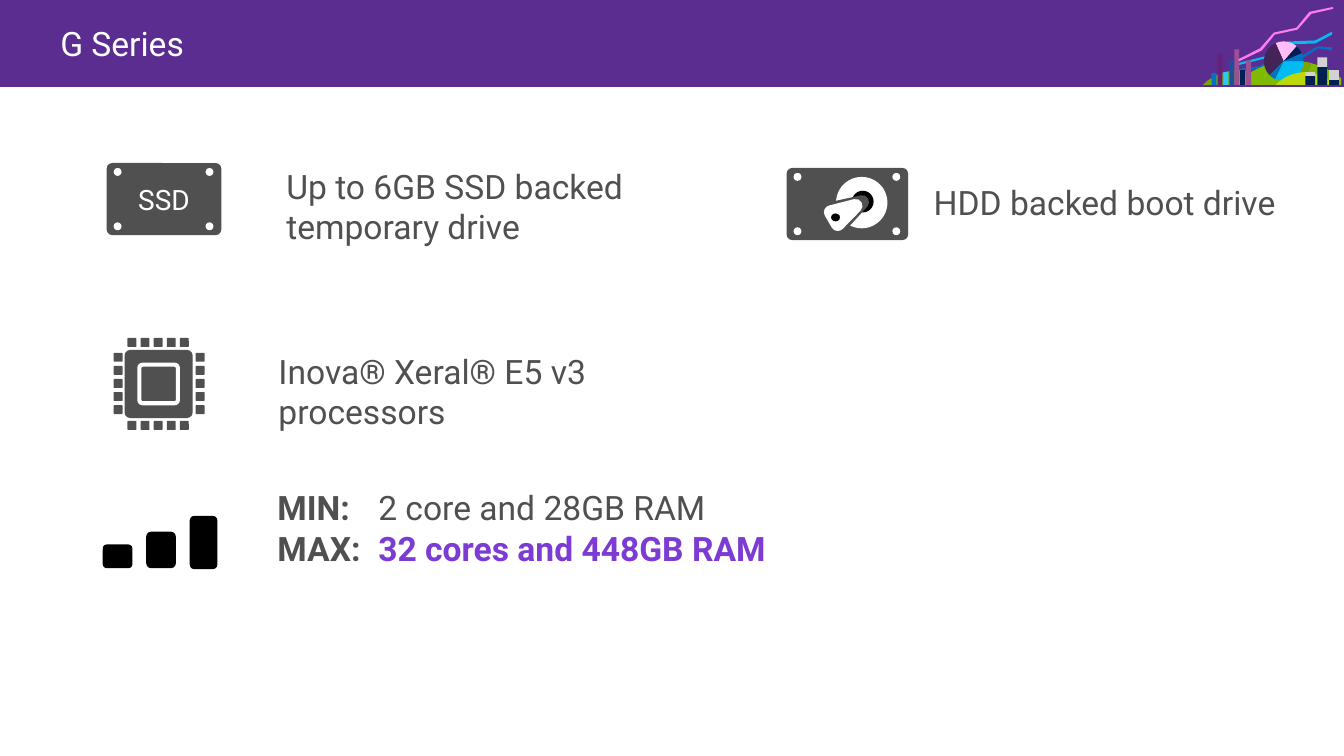
from math import cos, radians, sin

from lxml.etree import SubElement
from pptx import Presentation
from pptx.dml.color import RGBColor
from pptx.enum.shapes import MSO_SHAPE as SHAPE
from pptx.enum.text import MSO_ANCHOR, MSO_AUTO_SIZE, PP_ALIGN
from pptx.oxml.ns import qn
from pptx.util import Inches, Pt

THEME = {
    "font": "Roboto", "size": 24.5, "label_size": 20.4,
    "header": "5C2D91", "text": "505050", "accent": "7C3BD3",
    "white": "FFFFFF", "black": "000000",
    "navy": "002050", "blue": "0072C6", "cyan": "00BCF2", "silver": "D2D2D2",
    "pink": "FF7BEF", "rose": "FFBDF7", "plum": "442359", "violet": "68217A",
    "mauve": "9B4F96", "indigo": "1F4F99", "sky": "28C9F7",
    "moss": "79A500", "green": "7FBA00", "lime": "BAD80A",
}

# Content: a paragraph is a list of (text, format) runs
TITLE = "G Series"
FEATURES = [
    ((2.8, 1.62, 4.34, 0.92), [[("Up to 6GB SSD backed temporary drive", {})]]),
    ((9.35, 1.78, 4.34, 0.51), [[("HDD backed boot drive", {})]]),
    ((2.72, 3.49, 4.97, 0.51), [[("Inova® Xeral® E5 v3 processors", {})]]),
    ((2.71, 4.87, 8.33, 0.94), [
        [("MIN:\t", {"bold": True}), ("2 core and 28GB RAM", {})],
        [("MAX:\t", {"bold": True}),
         ("32 cores and 448GB RAM", {"bold": True, "color": "accent"})],
    ]),
]
TAB_STOP = 1.02

SIGNAL_BARS = [(1.04, 5.51, 0.3, 0.24), (1.48, 5.38, 0.3, 0.37), (1.92, 5.22, 0.28, 0.54)]

# Outlines: a pair is a corner, six numbers are a Bezier curve
BACK_OUTLINES = [
    ("cyan", [(12.53, 0.66), (12.52, 0.64), (12.8, 0.57), (13.03, 0.42), (13.31, 0.41),
              (13.48, 0.32), (13.48, 0.35), (13.31, 0.44), (13.04, 0.45), (12.81, 0.59)]),
    ("blue", [(12.53, 0.73), (12.53, 0.7), (12.75, 0.67), (12.93, 0.56), (13.15, 0.58),
              (13.33, 0.47), (13.48, 0.48), (13.48, 0.51), (13.34, 0.49), (13.16, 0.6),
              (12.94, 0.58), (12.76, 0.69)]),
    ("moss", [(12.61, 0.72), (12.46, 0.69, 12.29, 0.74, 12.17, 0.86), (12.88, 0.86),
              (12.8, 0.78, 12.71, 0.73, 12.61, 0.72)]),
    ("green", [(13.27, 0.64), (13.15, 0.61, 13.02, 0.61, 12.89, 0.64),
               (12.75, 0.67, 12.61, 0.74, 12.5, 0.86), (13.57, 0.86), (13.57, 0.79),
               (13.48, 0.72, 13.38, 0.67, 13.27, 0.64)]),
    ("moss", [(12.99, 0.79), (13.02, 0.8, 13.05, 0.81, 13.08, 0.81),
              (13.18, 0.81, 13.26, 0.74, 13.27, 0.64),
              (13.15, 0.61, 13.02, 0.61, 12.89, 0.64),
              (12.9, 0.68, 12.92, 0.72, 12.94, 0.75),
              (12.96, 0.77, 12.98, 0.78, 12.99, 0.79)]),
]
PIE_CENTER, PIE_RADIUS = (12.99, 0.62), 0.2
PIE_SLICES = [("rose", 246, 311), ("navy", 311, 336), ("plum", 135, 246),
              ("blue", 336, 360), ("blue", 115, 135), ("cyan", 0, 115)]
FRONT_HILL = [(13.37, 0.77), (13.34, 0.76, 13.31, 0.74, 13.27, 0.74),
              (13.26, 0.74, 13.24, 0.73, 13.22, 0.73),
              (13.11, 0.73, 12.99, 0.77, 12.91, 0.86), (13.5, 0.86),
              (13.46, 0.82, 13.42, 0.79, 13.37, 0.77)]
GROUND = 0.86
THIN_COLUMNS = [("navy", 12.55, 0.71), ("sky", 12.38, 0.73), ("indigo", 12.44, 0.61),
                ("mauve", 12.49, 0.5), ("mauve", 12.61, 0.61), ("blue", 12.26, 0.74),
                ("violet", 12.32, 0.54)]
STACKED_COLUMNS = [(13.21, 0.73, 0.77), (13.33, 0.58, 0.68), (13.45, 0.71, 0.81)]
PINK_LINE = [(12.54, 0.62), (12.53, 0.6), (12.75, 0.49), (12.89, 0.33), (13.12, 0.28),
             (13.25, 0.12), (13.49, 0.07), (13.49, 0.09), (13.27, 0.14), (13.13, 0.3),
             (12.9, 0.35), (12.77, 0.51)]


def rgb(name):
    return RGBColor.from_string(THEME[name])


def paint(sp, fill, line=None, weight=0):
    sp.shadow.inherit = False
    sp.fill.solid()
    sp.fill.fore_color.rgb = rgb(fill)
    if line:
        sp.line.color.rgb = rgb(line)
        sp.line.width = Pt(weight)
    else:
        sp.line.fill.background()


def add_shape(shapes, kind, box, fill, line=None, weight=0, corner=None, rotation=0):
    sp = shapes.add_shape(kind, *map(Inches, box))
    paint(sp, fill, line, weight)
    if corner is not None:
        sp.adjustments[0] = corner
    sp.rotation = rotation


def add_outline(shapes, fill, outline, steps=8):
    points = [outline[0]]
    for part in outline[1:]:
        if len(part) == 2:
            points.append(part)
            continue
        (x0, y0), (x1, y1, x2, y2, x3, y3) = points[-1], part
        for t in (i / steps for i in range(1, steps + 1)):
            a, b, c, d = (1 - t) ** 3, 3 * t * (1 - t) ** 2, 3 * t * t * (1 - t), t ** 3
            points.append((a * x0 + b * x1 + c * x2 + d * x3,
                           a * y0 + b * y1 + c * y2 + d * y3))
    corners = [(Inches(x), Inches(y)) for x, y in points]
    builder = shapes.build_freeform(*corners[0])
    builder.add_line_segments(corners[1:], close=True)
    paint(builder.convert_to_shape(), fill)


def write(p, text, size="size", color="text", bold=False):
    r = p.add_run()
    r.text = text
    r.font.name = THEME["font"]
    r.font.size = Pt(THEME[size])
    r.font.bold = bold
    r.font.color.rgb = rgb(color)


def add_text(shapes, box, paragraphs, **fmt):
    tf = shapes.add_textbox(*map(Inches, box)).text_frame
    tf.word_wrap = True
    tf.margin_left = tf.margin_right = Inches(0.1)
    tf.margin_top = tf.margin_bottom = Inches(0.06)
    for i, runs in enumerate(paragraphs):
        p = tf.add_paragraph() if i else tf.paragraphs[0]
        if any("\t" in text for text, _ in runs):
            tabs = SubElement(p._p.get_or_add_pPr(), qn("a:tabLst"))
            SubElement(tabs, qn("a:tab"), pos=str(Inches(TAB_STOP)), algn="l")
        for text, run_fmt in runs:
            write(p, text, **{**fmt, **run_fmt})


def add_title(s):
    title = s.shapes.title
    title.left, title.top, title.width, title.height = map(Inches, (0, 0, 13.6, 0.88))
    title.fill.solid()
    title.fill.fore_color.rgb = rgb("header")
    tf = title.text_frame
    tf.auto_size = MSO_AUTO_SIZE.NONE
    tf.vertical_anchor = MSO_ANCHOR.MIDDLE
    tf.margin_left = Inches(0.61)
    tf.paragraphs[0].alignment = PP_ALIGN.LEFT
    write(tf.paragraphs[0], TITLE, color="white")


def add_drive_case(shapes, x, y, width, screw_right):
    """Draw a drive body with a screw in each corner."""
    add_shape(shapes, SHAPE.ROUNDED_RECTANGLE, (x, y, width, 0.73), "text", corner=0.078)
    for dx in (0.07, screw_right):
        for dy in (0.05, 0.6):
            add_shape(shapes, SHAPE.OVAL, (x + dx, y + dy, 0.08, 0.08), "white")


def add_ssd(shapes):
    add_drive_case(shapes, 1.08, 1.65, 1.16, 1.0)
    add_text(shapes, (1.3, 1.79, 0.78, 0.45), [[("SSD", {})]],
             size="label_size", color="white")


def add_hdd(shapes):
    add_drive_case(shapes, 7.96, 1.7, 1.23, 1.07)
    add_shape(shapes, SHAPE.OVAL, (8.46, 1.79, 0.52, 0.52), "white")
    add_shape(shapes, SHAPE.OVAL, (8.62, 1.93, 0.22, 0.22), "black")
    for box, line in (((8.44, 1.95, 0.24, 0.38), "text"), ((8.48, 2.02, 0.14, 0.25), "white")):
        add_shape(shapes, SHAPE.FLOWCHART_EXTRACT, box, "white", line, 10, rotation=60)
    add_shape(shapes, SHAPE.OVAL, (8.41, 2.16, 0.09, 0.08), "black")


def add_chip(shapes, pins=5, pitch=0.1325, pin=0.09):
    boxes = [(1.26, 3.54, 0.69, 0.69)]
    for i in range(pins):
        boxes += [(1.29 + i * pitch, y, pin, pin) for y in (3.42, 4.26)]
        boxes += [(x, 3.57 + i * pitch, pin, pin) for x in (1.15, 1.98)]
    for box in boxes:
        add_shape(shapes, SHAPE.ROUNDED_RECTANGLE, box, "text", corner=0.085)
    add_shape(shapes, SHAPE.ROUNDED_RECTANGLE, (1.41, 3.69, 0.39, 0.39), "text",
              "white", 3, corner=0.085)


def add_signal(shapes):
    for box in SIGNAL_BARS:
        add_shape(shapes, SHAPE.ROUNDED_RECTANGLE, box, "black")


def add_chart_art(shapes):
    for fill, outline in BACK_OUTLINES:
        add_outline(shapes, fill, outline)
    cx, cy = PIE_CENTER
    for fill, start, end in PIE_SLICES:
        angles = [radians(start + (end - start) * i / 12) for i in range(13)]
        rim = [(cx + PIE_RADIUS * cos(a), cy + PIE_RADIUS * sin(a)) for a in angles]
        add_outline(shapes, fill, [PIE_CENTER] + rim)
    add_outline(shapes, "lime", FRONT_HILL)
    columns = [(fill, x, top, 0.05, GROUND) for fill, x, top in THIN_COLUMNS]
    for x, top, split in STACKED_COLUMNS:
        columns += [("silver", x, top, 0.1, split), ("navy", x, split, 0.1, GROUND)]
    for fill, x, top, width, bottom in columns:
        add_shape(shapes, SHAPE.RECTANGLE, (x, top, width, bottom - top), fill)
    add_outline(shapes, "pink", PINK_LINE)


def main():
    prs = Presentation()
    prs.slide_width, prs.slide_height = Inches(13.6), Inches(7.65)
    s = prs.slides.add_slide(prs.slide_layouts[5])
    add_title(s)
    for draw in (add_signal, add_ssd, add_hdd, add_chip, add_chart_art):
        draw(s.shapes.add_group_shape().shapes)
    for box, paragraphs in FEATURES:
        add_text(s.shapes, box, paragraphs)
    prs.save("out.pptx")


if __name__ == "__main__":
    main()
